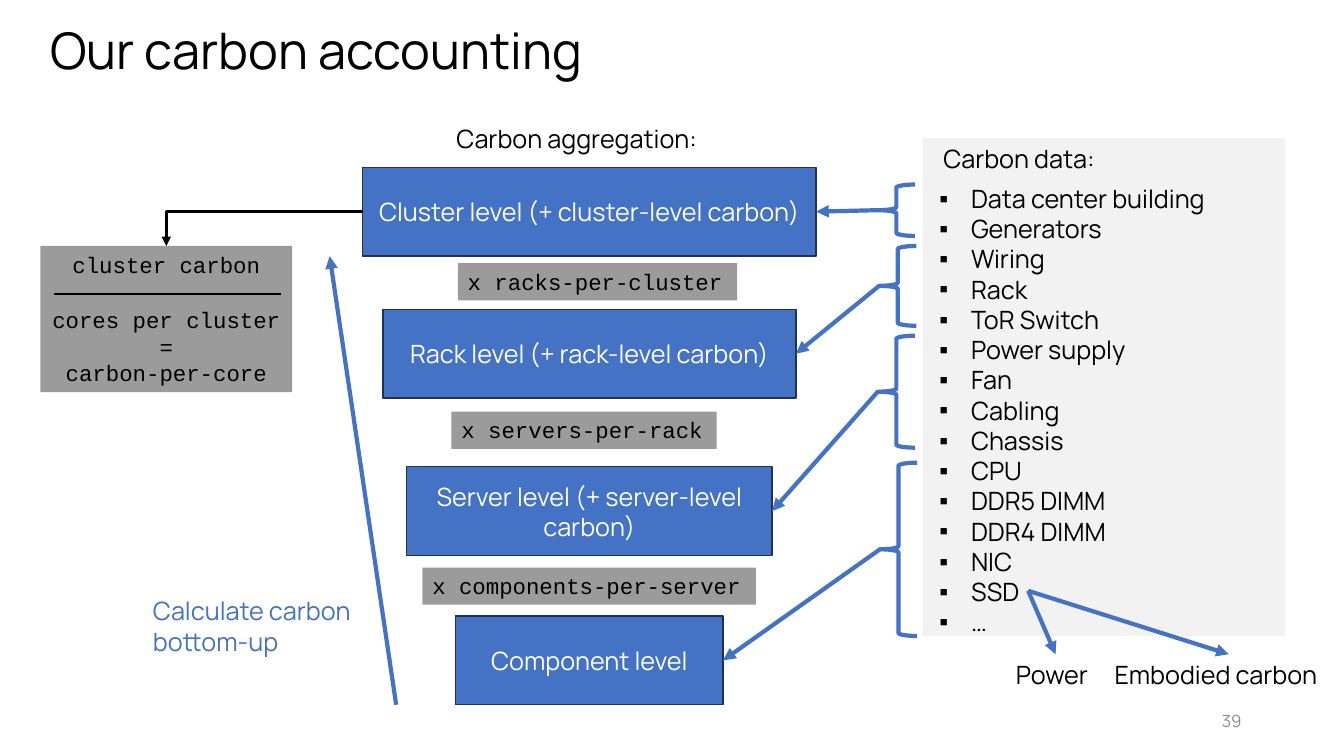
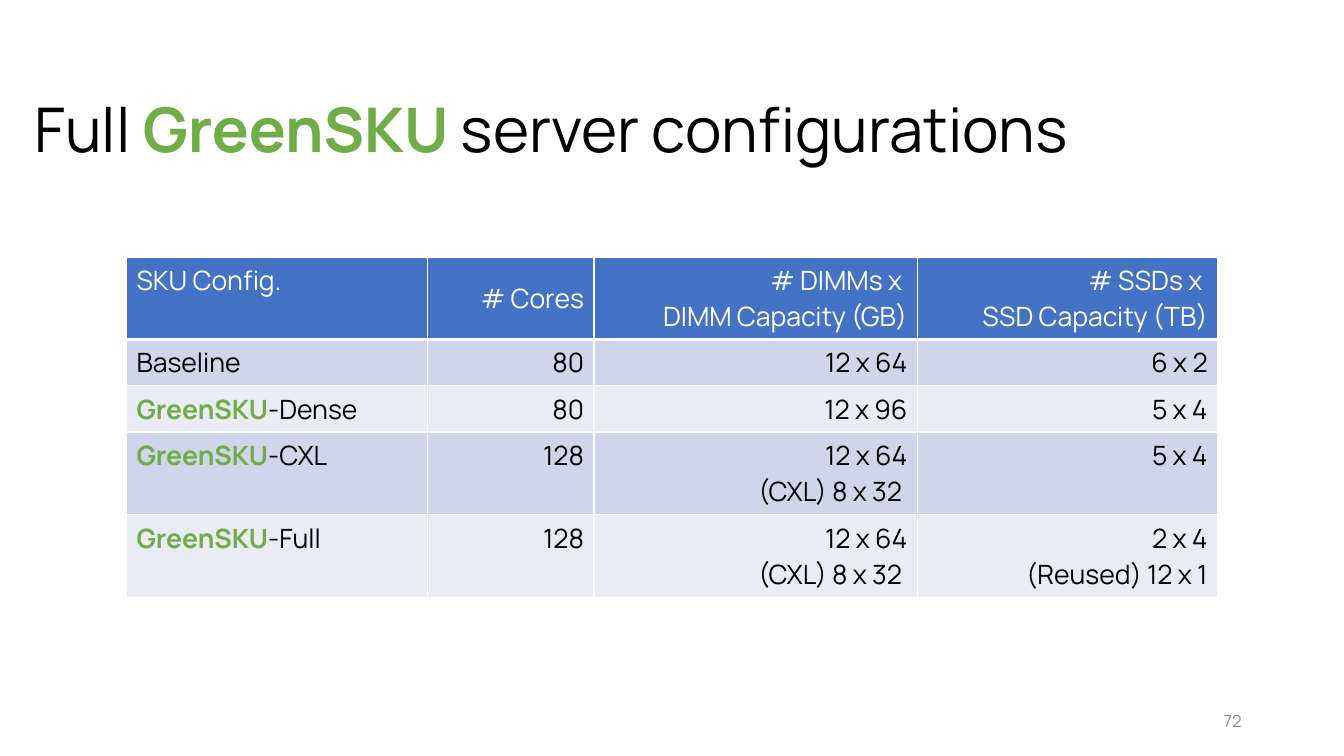
from dataclasses import dataclass
from typing import Any, NamedTuple, Optional

from lxml.etree import SubElement
from pptx import Presentation
from pptx.dml.color import RGBColor
from pptx.enum.shapes import MSO_CONNECTOR, MSO_SHAPE
from pptx.enum.text import MSO_ANCHOR, MSO_AUTO_SIZE, PP_ALIGN
from pptx.oxml.ns import qn
from pptx.util import Pt

BLACK = RGBColor(0x00, 0x00, 0x00)
WHITE = RGBColor(0xFF, 0xFF, 0xFF)
BLUE = RGBColor(0x44, 0x72, 0xC4)
NAVY = RGBColor(0x1E, 0x32, 0x56)
GREEN = RGBColor(0x70, 0xAD, 0x47)
GRAY = RGBColor(0x80, 0x80, 0x80)
PAGE_GRAY = RGBColor(0x8C, 0x8C, 0x8C)
PANEL_GRAY = RGBColor(0xF2, 0xF2, 0xF2)
BANDS = (RGBColor(0xCF, 0xD5, 0xEA), RGBColor(0xE9, 0xEB, 0xF5))

BODY = {"name": "Manrope", "size": Pt(18), "color": BLACK}
BOX_TEXT = BODY | {"color": WHITE}
NOTE = BODY | {"color": BLUE}
CODE = {"name": "Courier New", "size": Pt(16), "color": BLACK}
PAGE = BODY | {"size": Pt(12), "color": PAGE_GRAY}
TITLE = BODY | {"size": Pt(36)}
LARGE_TITLE = BODY | {"size": Pt(44)}
CELL = BODY | {"size": Pt(19)}
HEADER = CELL | {"color": WHITE}
ACCENT = {"color": GREEN, "bold": True}

TIGHT = {"line_spacing": Pt(21.6)}
CENTERED = {"alignment": PP_ALIGN.CENTER}
RIGHT = {"alignment": PP_ALIGN.RIGHT}
FITTED = {"word_wrap": False, "auto_size": MSO_AUTO_SIZE.SHAPE_TO_FIT_TEXT}
WRAPPED = {"word_wrap": True}
MIDDLE = WRAPPED | {"vertical_anchor": MSO_ANCHOR.MIDDLE}

PRODUCT = "GreenSKU"


class Area(NamedTuple):
    left: float
    top: float
    width: float
    height: float

    @property
    def middle(self) -> float:
        return self.top + self.height / 2


@dataclass(frozen=True)
class Level:
    text: str
    top: float
    width: float
    brace: Area

    @property
    def area(self) -> Area:
        return Area(LEVEL_CENTER - self.width / 2, self.top, self.width, LEVEL_HEIGHT)


class Label(NamedTuple):
    text: str
    area: Area
    fonts: dict[str, Any] = BODY
    frame: dict[str, Any] = FITTED


LEVEL_CENTER, LEVEL_HEIGHT = 421, 63.4
LEVELS = (
    Level("Cluster level (+ cluster-level carbon)", 119.5, 324, Area(627, 131.8, 26.6, 36.7)),
    Level("Rack level (+ rack-level carbon)", 221, 295, Area(628, 175.7, 26.6, 57)),
    Level("Server level (+ server-level carbon)", 333.4, 261, Area(627, 239.8, 26.6, 80)),
    Level("Component level", 440, 191, Area(628.5, 330.5, 26.6, 123.8)),
)
MULTIPLIERS = (
    Label("x racks-per-cluster", Area(327, 188, 199.5, 26.6)),
    Label("x servers-per-rack", Area(322.5, 294, 189.5, 26.6)),
    Label("x components-per-server", Area(301.7, 405.4, 238.3, 26.6)),
)
LABELS = (
    Label("Power", Area(718.5, 467.3, 70, 29)),
    Label("Embodied carbon", Area(789, 467.3, 170, 29)),
    Label("Carbon data:", Area(666.7, 98.6, 136, 29)),
    Label("Carbon aggregation:", Area(319, 84.2, 205, 29)),
    Label("Calculate carbon bottom-up", Area(102.2, 422, 190, 51), NOTE, WRAPPED),
)
CARBON_SOURCES = (
    "Data center building", "Generators", "Wiring", "Rack", "ToR Switch",
    "Power supply", "Fan", "Cabling", "Chassis", "CPU", "DDR5 DIMM",
    "DDR4 DIMM", "NIC", "SSD", "…",
)

COLUMN_WIDTHS = (215, 119, 231, 214.5)
ROW_HEIGHTS = (58.7, 33.1, 33.1, 59.1, 59.1)
CONFIGURATIONS = (
    ("SKU Config.", "# Cores", "# DIMMs x \nDIMM Capacity (GB)", "# SSDs x \nSSD Capacity (TB)"),
    ("Baseline", "80", "12 x 64", "6 x 2"),
    (f"{PRODUCT}-Dense", "80", "12 x 96", "5 x 4"),
    (f"{PRODUCT}-CXL", "128", "12 x 64\n(CXL) 8 x 32 ", "5 x 4"),
    (f"{PRODUCT}-Full", "128", "12 x 64\n(CXL) 8 x 32 ", "2 x 4\n(Reused) 12 x 1"),
)


def apply(target, values: dict[str, Any]) -> None:
    for name, value in values.items():
        if name == "color":
            target.color.rgb = value
        else:
            setattr(target, name, value)


def write(frame, text: str, fonts: dict, paragraphs: Optional[dict] = None) -> None:
    """Fill a frame, one paragraph per line, with the product name in green."""
    for index, line in enumerate(text.split("\n")):
        paragraph = frame.paragraphs[0] if index == 0 else frame.add_paragraph()
        apply(paragraph, paragraphs or {})
        before, product, after = line.partition(PRODUCT)
        for part, style in ((before, fonts), (product, fonts | ACCENT), (after, fonts)):
            if part:
                run = paragraph.add_run()
                run.text = part
                apply(run.font, style)


def add_text(slide, area: Area, text: str, fonts: dict,
             paragraphs: Optional[dict] = None, frame_format: Optional[dict] = None):
    frame = slide.shapes.add_textbox(*map(Pt, area)).text_frame
    write(frame, text, fonts, paragraphs)
    apply(frame, frame_format or WRAPPED)
    return frame


def add_block(slide, area: Area, fill: Optional[RGBColor] = None,
              outline: Optional[RGBColor] = None, weight: float = 1,
              kind: MSO_SHAPE = MSO_SHAPE.RECTANGLE):
    shape = slide.shapes.add_shape(kind, *map(Pt, area))
    shape.shadow.inherit = False
    if fill is None:
        shape.fill.background()
    else:
        shape.fill.solid()
        shape.fill.fore_color.rgb = fill
    if outline is None:
        shape.line.fill.background()
    else:
        shape.line.color.rgb = outline
        shape.line.width = Pt(weight)
    return shape


def add_code_block(slide, area: Area, text: str, paragraphs: dict):
    shape = add_block(slide, area, GRAY)
    color = shape.fill._xPr.find(qn("a:solidFill"))[0]
    SubElement(color, qn("a:alpha"), val="78000")
    write(shape.text_frame, text, CODE, paragraphs)
    apply(shape.text_frame, FITTED | {"vertical_anchor": MSO_ANCHOR.TOP})
    return shape.text_frame


def add_line(slide, start: tuple, end: tuple, color: RGBColor = BLUE, weight: float = 3,
             arrow: bool = True, kind: MSO_CONNECTOR = MSO_CONNECTOR.STRAIGHT):
    line = slide.shapes.add_connector(kind, *map(Pt, (*start, *end)))
    line.line.color.rgb = color
    line.line.width = Pt(weight)
    properties = line._element.spPr
    if arrow:
        SubElement(properties.find(qn("a:ln")), qn("a:tailEnd"), type="triangle")
    SubElement(properties, qn("a:effectLst"))
    return line


def add_corner_arrow(slide, start: tuple, end: tuple) -> None:
    """Draw an arrow that runs left, then turns down once."""
    arrow = add_line(slide, start, end, BLACK, 2.25, kind=MSO_CONNECTOR.ELBOW)
    properties = arrow._element.spPr
    properties.find(qn("a:prstGeom")).set("prst", "bentConnector2")
    frame = properties.find(qn("a:xfrm"))
    frame.attrib.pop("flipH", None)
    frame.set("rot", "10800000")
    frame.set("flipV", "1")


def add_bullets(frame) -> None:
    for paragraph in frame.paragraphs:
        properties = paragraph._p.get_or_add_pPr()
        properties.set("marL", str(Pt(22.5)))
        properties.set("indent", str(-Pt(22.5)))
        SubElement(properties, qn("a:buFont"), typeface="Arial")
        SubElement(properties, qn("a:buChar"), char="▪")


def set_borders(cell, bottom: float) -> None:
    properties = cell._tc.get_or_add_tcPr()
    weights = {"a:lnL": 1, "a:lnR": 1, "a:lnT": 1, "a:lnB": bottom}
    for index, (side, weight) in enumerate(weights.items()):
        border = SubElement(properties, qn(side), w=str(Pt(weight)))
        properties.insert(index, border)
        SubElement(SubElement(border, qn("a:solidFill")), qn("a:srgbClr"), val=str(WHITE))


def add_slide(deck, number: int, title: str, area: Area, fonts: dict,
              paragraphs: Optional[dict] = None):
    """Add a blank slide with its title and page number."""
    slide = deck.slides.add_slide(deck.slide_layouts[6])
    add_text(slide, area, title, fonts, paragraphs)
    add_text(slide, Area(678, 500.5, 216, 28.8), str(number), PAGE, RIGHT, MIDDLE)
    return slide


def build_accounting(deck) -> None:
    slide = add_slide(deck, 39, "Our carbon accounting", Area(28.8, 10, 439, 51), TITLE)
    add_block(slide, Area(659, 98.6, 259, 355.7), PANEL_GRAY)
    sources = add_text(slide, Area(664, 127.4, 222.5, 331), "\n".join(CARBON_SOURCES), BODY, TIGHT)
    add_bullets(sources)

    for level in LEVELS:
        area, brace = level.area, level.brace
        box = add_block(slide, area, BLUE, NAVY)
        write(box.text_frame, level.text, BOX_TEXT, CENTERED | TIGHT)
        apply(box.text_frame, MIDDLE)
        add_block(slide, brace, None, BLUE, 3, MSO_SHAPE.LEFT_BRACE)
        add_line(slide, (brace.left, brace.middle), (area.left + area.width, area.middle))
    for multiplier in MULTIPLIERS:
        add_code_block(slide, multiplier.area, multiplier.text, {"alignment": PP_ALIGN.LEFT})
    for label in LABELS:
        add_text(slide, label.area, label.text, label.fonts, TIGHT, label.frame)

    for target in (754, 877.7):
        add_line(slide, (734.4, 422), (target, 467.3))
    add_line(slide, (283, 503.4), (235.5, 183))

    ratio = add_code_block(
        slide, Area(28.8, 175.7, 180, 104.4),
        "cluster carbon\ncores per cluster\n=\ncarbon-per-core", CENTERED)
    ratio.paragraphs[1].space_before = Pt(20)
    add_line(slide, (38.9, 210), (200.9, 210), BLACK, 1.5, arrow=False)
    cluster = LEVELS[0].area
    add_corner_arrow(slide, (cluster.left, cluster.middle), (118.8, 175.7))


def build_configurations(deck) -> None:
    slide = add_slide(deck, 72, f"Full {PRODUCT} server configurations",
                      Area(17.3, 67.7, 924.5, 104.4), LARGE_TITLE, {"line_spacing": 0.9})
    area = Area(90.3, 183.8, sum(COLUMN_WIDTHS), sum(ROW_HEIGHTS))
    table = slide.shapes.add_table(
        len(ROW_HEIGHTS), len(COLUMN_WIDTHS), *map(Pt, area)).table
    for column, width in zip(table.columns, COLUMN_WIDTHS):
        column.width = Pt(width)
    for row_index, (row, height) in enumerate(zip(table.rows, ROW_HEIGHTS)):
        row.height = Pt(height)
        header = row_index == 0
        for column_index, text in enumerate(CONFIGURATIONS[row_index]):
            cell = row.cells[column_index]
            write(cell.text_frame, text, HEADER if header else CELL,
                  RIGHT if column_index else None)
            cell.fill.solid()
            cell.fill.fore_color.rgb = BLUE if header else BANDS[(row_index - 1) % 2]
            set_borders(cell, 3 if header else 1)
            if header and column_index in (1, 2):
                cell.vertical_anchor = MSO_ANCHOR.MIDDLE


def main() -> None:
    deck = Presentation()
    apply(deck, {"slide_width": Pt(960), "slide_height": Pt(540)})
    build_accounting(deck)
    build_configurations(deck)
    deck.save("out.pptx")


if __name__ == "__main__":
    main()
